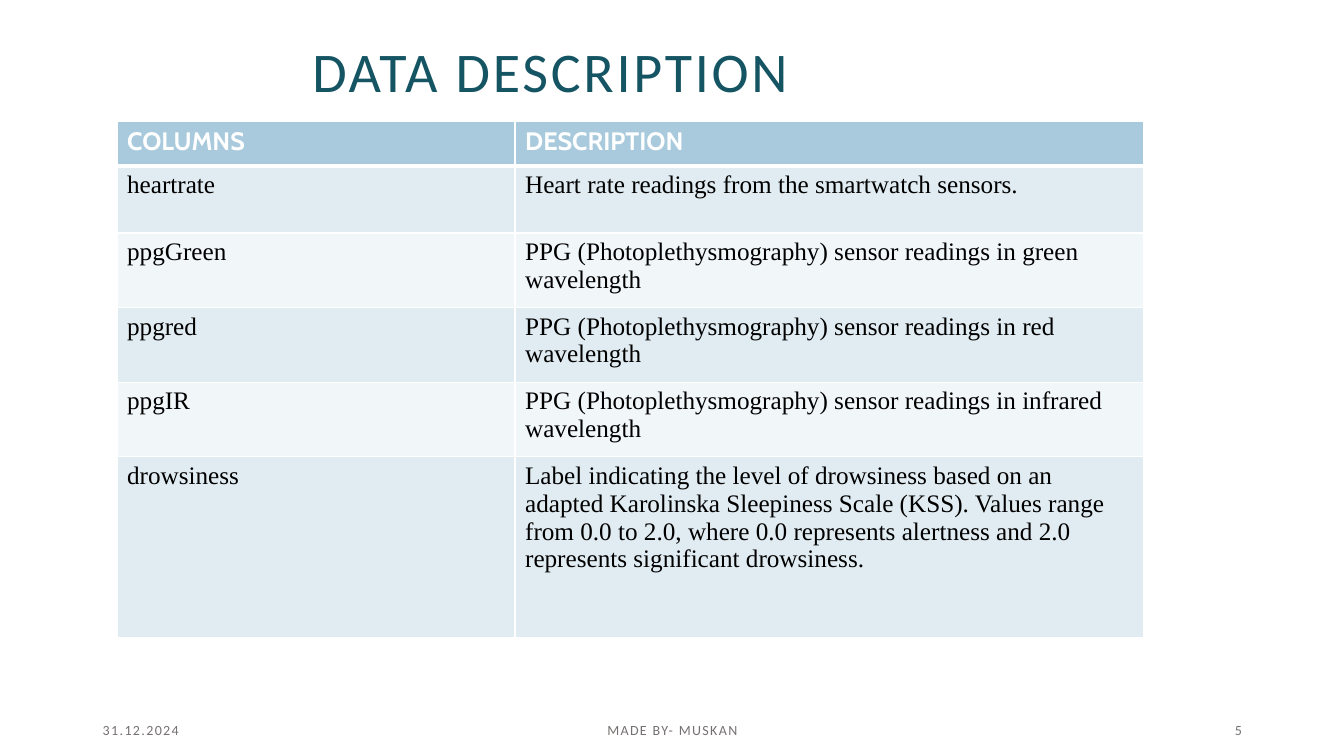
"""Build the data description slide: a title, a table of columns and a footer."""
from lxml import etree
from pptx import Presentation
from pptx.dml.color import RGBColor
from pptx.enum.text import MSO_ANCHOR, PP_ALIGN
from pptx.oxml.ns import qn
from pptx.util import Cm, Pt

LEFT, CENTER, RIGHT = PP_ALIGN.LEFT, PP_ALIGN.CENTER, PP_ALIGN.RIGHT
MIDDLE = MSO_ANCHOR.MIDDLE
COLORS = {
    "title": "155463",
    "footer": "767171",
    "header": "A8CADC",
    "odd": "E1ECF2",
    "even": "F1F6F9",
    "white": "FFFFFF",
    "black": "000000",
}
ROWS = [
    ("COLUMNS", "DESCRIPTION"),
    ("heartrate", "Heart rate readings from the smartwatch sensors."),
    ("ppgGreen", "PPG (Photoplethysmography) sensor readings in green wavelength"),
    ("ppgred", "PPG (Photoplethysmography) sensor readings in red wavelength"),
    ("ppgIR", "PPG (Photoplethysmography) sensor readings in infrared wavelength"),
    ("drowsiness", "Label indicating the level of drowsiness based on an adapted "
     "Karolinska Sleepiness Scale (KSS). Values range from 0.0 to 2.0, where 0.0 "
     "represents alertness and 2.0 represents significant drowsiness."),
]
COLUMN_WIDTHS = [10.03, 15.85]
ROW_HEIGHTS = [1.14, 1.68, 1.88, 1.88, 1.88, 4.55]


def add_label(page, text, place, size, color, align, tracking):
    """Add a one-line, letter-spaced text box and return its paragraph."""
    box = page.shapes.add_textbox(*[Cm(length) for length in place])
    frame = box.text_frame
    frame.word_wrap = True
    frame.vertical_anchor = MIDDLE
    para = frame.paragraphs[0]
    para.alignment = align
    span = para.add_run()
    span.text = text
    span.font.name = "Calibri"
    span.font.size = Pt(size)
    span.font.color.rgb = RGBColor.from_string(COLORS[color])
    span.font._element.set("spc", str(tracking * 100))
    return para


def add_borders(cell, bottom_width):
    """Draw white borders around a table cell."""
    properties = cell._tc.get_or_add_tcPr()
    for side in ("lnL", "lnR", "lnT", "lnB"):
        width = bottom_width if side == "lnB" else 1
        line = etree.SubElement(properties, qn(f"a:{side}"), w=str(Pt(width)))
        fill = etree.SubElement(line, qn("a:solidFill"))
        etree.SubElement(fill, qn("a:srgbClr"), val=COLORS["white"])


deck = Presentation()
deck.slide_width, deck.slide_height = Cm(33.87), Cm(19.05)
page = deck.slides.add_slide(deck.slide_layouts[6])

title = add_label(page, "DATA DESCRIPTION", (7.62, 1.04, 16.87, 1.78), 40, "title", LEFT, 2)
title.line_spacing = 0.8

for text, left, width, align in [
    ("31.12.2024", 2.34, 7.62, LEFT),
    ("MADE BY- MUSKAN", 11.23, 11.43, CENTER),
    ("5", 23.93, 7.62, RIGHT),
]:
    add_label(page, text, (left, 18.11, width, 0.56), 10, "footer", align, 1)

frame = page.shapes.add_table(
    len(ROWS), len(COLUMN_WIDTHS), Cm(2.95), Cm(3.05),
    Cm(sum(COLUMN_WIDTHS)), Cm(sum(ROW_HEIGHTS)))
table = frame.table
for column, width in zip(table.columns, COLUMN_WIDTHS):
    column.width = Cm(width)
for index, (row, height, texts) in enumerate(zip(table.rows, ROW_HEIGHTS, ROWS)):
    row.height = Cm(height)
    is_header = index == 0
    shade = "header" if is_header else "odd" if index % 2 else "even"
    for cell, text in zip(row.cells, texts):
        add_borders(cell, 3 if is_header else 1)
        cell.fill.solid()
        cell.fill.fore_color.rgb = RGBColor.from_string(COLORS[shade])
        cell.text = text
        font = cell.text_frame.paragraphs[0].font
        font.name = "Cabin" if is_header else "Times New Roman"
        font.size = Pt(18)
        font.bold = is_header
        font.color.rgb = RGBColor.from_string(COLORS["white" if is_header else "black"])

deck.save("out.pptx")
